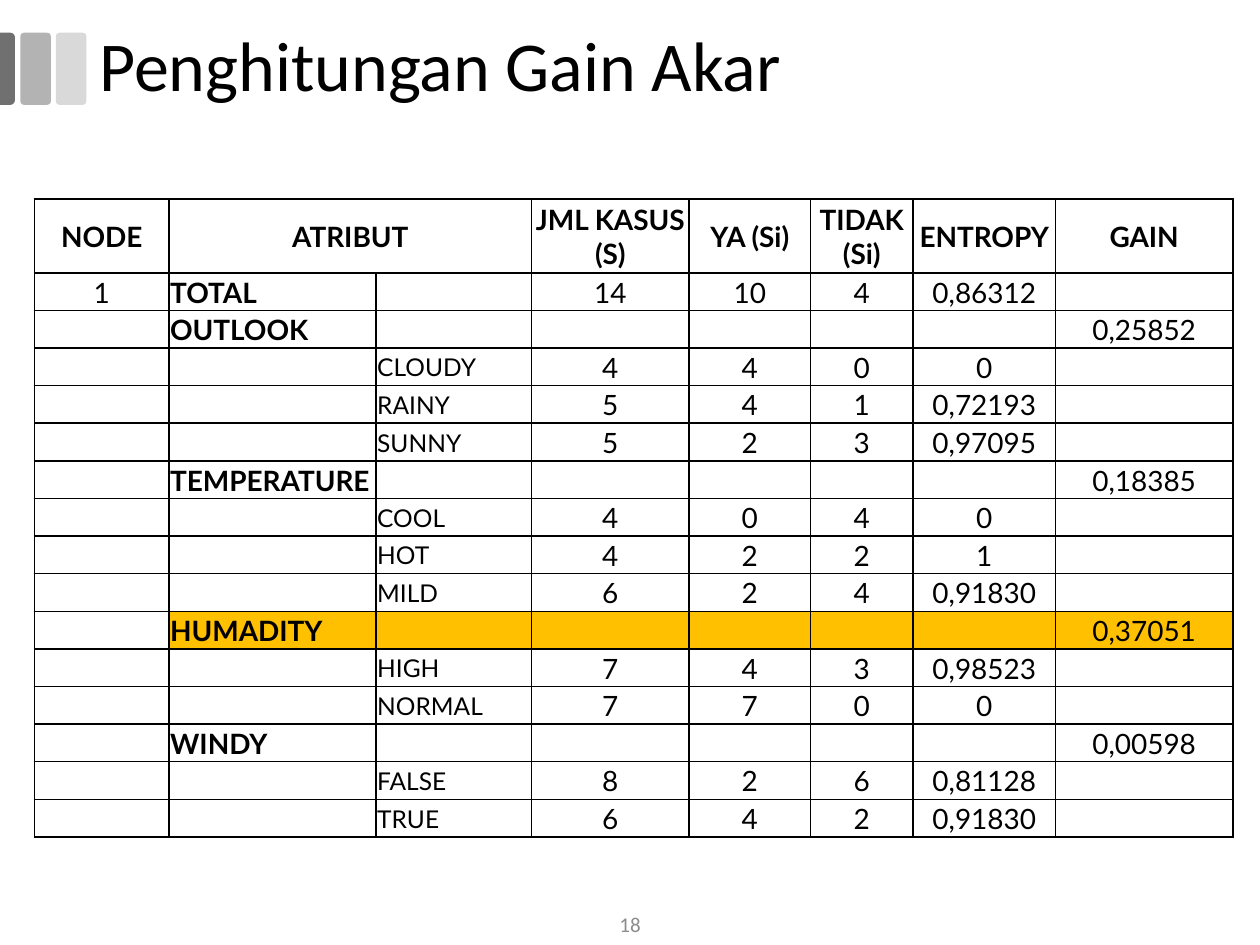
from lxml import etree
from pptx import Presentation
from pptx import util as u
from pptx.dml.color import RGBColor
from pptx.enum import shapes, text
from pptx.oxml import ns

COLORS = {"black": "000000", "white": "FFFFFF", "highlight": "FFC000", "number": "8C8C8C",
          "light": "D9D9D9", "middle": "B3B3B3", "dark": "707070"}
COLUMNS = [76.9, 118.3, 88.9, 90, 69.4, 58.6, 81.4, 101.4]
HEADER_HEIGHT, ROW_HEIGHT = 42.1, 21.5
HEADER = ["NODE", "ATRIBUT", "", "JML KASUS (S)", "YA (Si)", "TIDAK (Si)", "ENTROPY", "GAIN"]
TOTAL = ["1", "TOTAL", "", "14", "10", "4", "0,86312", ""]
ATTRIBUTES = [
    ("OUTLOOK", "0,25852", [("CLOUDY", "4", "4", "0", "0"),
                            ("RAINY", "5", "4", "1", "0,72193"),
                            ("SUNNY", "5", "2", "3", "0,97095")]),
    ("TEMPERATURE", "0,18385", [("COOL", "4", "0", "4", "0"),
                                ("HOT", "4", "2", "2", "1"),
                                ("MILD", "6", "2", "4", "0,91830")]),
    ("HUMADITY", "0,37051", [("HIGH", "7", "4", "3", "0,98523"),
                             ("NORMAL", "7", "7", "0", "0")]),
    ("WINDY", "0,00598", [("FALSE", "8", "2", "6", "0,81128"),
                          ("TRUE", "6", "4", "2", "0,91830")]),
]
BEST = "HUMADITY"


def color(name):
    """Return the named colour."""
    return RGBColor.from_string(COLORS[name])


def add_span(para, words, size, font="Calibri", tint="black", bold=False):
    """Add one formatted run to a paragraph."""
    span = para.add_run()
    span.text = words
    span.font.size, span.font.name, span.font.bold = u.Pt(size), font, bold
    span.font.color.rgb = color(tint)


def add_bar(page, kind, left, top, width, height, tint):
    """Add one decorative bar and return it."""
    bar = page.shapes.add_shape(kind, u.Pt(left), u.Pt(top), u.Pt(width), u.Pt(height))
    bar.shadow.inherit = False
    bar.fill.solid()
    bar.fill.fore_color.rgb = color(tint)
    bar.line.fill.background()
    return bar


def add_text(page, left, top, width, height, words, size, tint, align, spacing=1.0):
    """Add a vertically centred line of text."""
    box = page.shapes.add_textbox(u.Pt(left), u.Pt(top), u.Pt(width), u.Pt(height))
    box.text_frame.word_wrap = True
    box.text_frame.vertical_anchor = text.MSO_ANCHOR.MIDDLE
    para = box.text_frame.paragraphs[0]
    para.alignment, para.line_spacing = align, spacing
    add_span(para, words, size, tint=tint)


def add_borders(cell):
    """Draw a one-point black line on every side of a cell."""
    properties = cell._tc.get_or_add_tcPr()
    for side in ("a:lnL", "a:lnR", "a:lnT", "a:lnB"):
        line = etree.SubElement(properties, ns.qn(side), w=str(u.Pt(1)))
        fill = etree.SubElement(line, ns.qn("a:solidFill"))
        etree.SubElement(fill, ns.qn("a:srgbClr"), val=COLORS["black"])


def fill_cell(cell, words, size, bold, align, tint):
    """Set the text, borders and fill of a table cell."""
    cell.margin_left = cell.margin_right = cell.margin_top = u.Pt(0.7)
    cell.margin_bottom = u.Pt(0)
    cell.vertical_anchor = text.MSO_ANCHOR.MIDDLE
    add_borders(cell)
    cell.fill.solid()
    cell.fill.fore_color.rgb = color(tint)
    para = cell.text_frame.paragraphs[0]
    para.alignment = align
    if words:
        add_span(para, words, size, "Lato", bold=bold)
    else:
        etree.SubElement(para._p, ns.qn("a:endParaRPr"), sz=str(size * 100))


def table_rows():
    """Return all table rows, header first."""
    rows = [HEADER, TOTAL]
    for name, gain, cases in ATTRIBUTES:
        rows.append(["", name] + [""] * 5 + [gain])
        rows += [["", "", *case, ""] for case in cases]
    return rows


def add_gain_table(page, left, top):
    """Add the table of entropy and gain per attribute."""
    rows = table_rows()
    height = HEADER_HEIGHT + ROW_HEIGHT * (len(rows) - 1)
    frame = page.shapes.add_table(len(rows), len(COLUMNS), u.Pt(left), u.Pt(top),
                                  u.Pt(sum(COLUMNS)), u.Pt(height))
    table = frame.table
    for column, width in zip(table.columns, COLUMNS):
        column.width = u.Pt(width)
    for r, values in enumerate(rows):
        table.rows[r].height = u.Pt(ROW_HEIGHT if r else HEADER_HEIGHT)
        for c, words in enumerate(values):
            align = text.PP_ALIGN.LEFT if r and c in (1, 2) else text.PP_ALIGN.CENTER
            if words == "TOTAL":
                align = text.PP_ALIGN.JUSTIFY
            size = 14 if r and c == 2 else 16
            tint = "highlight" if values[1] == BEST and c else "white"
            fill_cell(table.cell(r, c), words, size, r == 0 or c == 1, align, tint)
    table.cell(0, 1).merge(table.cell(0, 2))


def main():
    """Build and save the slide."""
    deck = Presentation()
    deck.slide_width, deck.slide_height = u.Pt(720), u.Pt(540)
    page = deck.slides.add_slide(deck.slide_layouts[6])
    kinds = shapes.MSO_SHAPE
    for left, tint in ((31.9, "light"), (11.6, "middle")):
        bar = add_bar(page, kinds.ROUNDED_RECTANGLE, left, 18.7, 17.5, 41.2, tint)
        bar.adjustments[0] = 0.12
    edge = add_bar(page, kinds.ROUND_2_SAME_RECTANGLE, -16.4, 35, 41.2, 8.6, "dark")
    edge.rotation = 90
    edge.adjustments[0], edge.adjustments[1] = 0.29, 0
    add_text(page, 279, 516.2, 162, 23.8, "18", 12, "number", text.PP_ALIGN.CENTER)
    add_text(page, 49.7, 12.2, 669.6, 54, "Penghitungan Gain Akar", 40, "black",
             text.PP_ALIGN.LEFT, 0.9)
    add_gain_table(page, 19.7, 113.8)
    deck.save("out.pptx")


if __name__ == "__main__":
    main()
